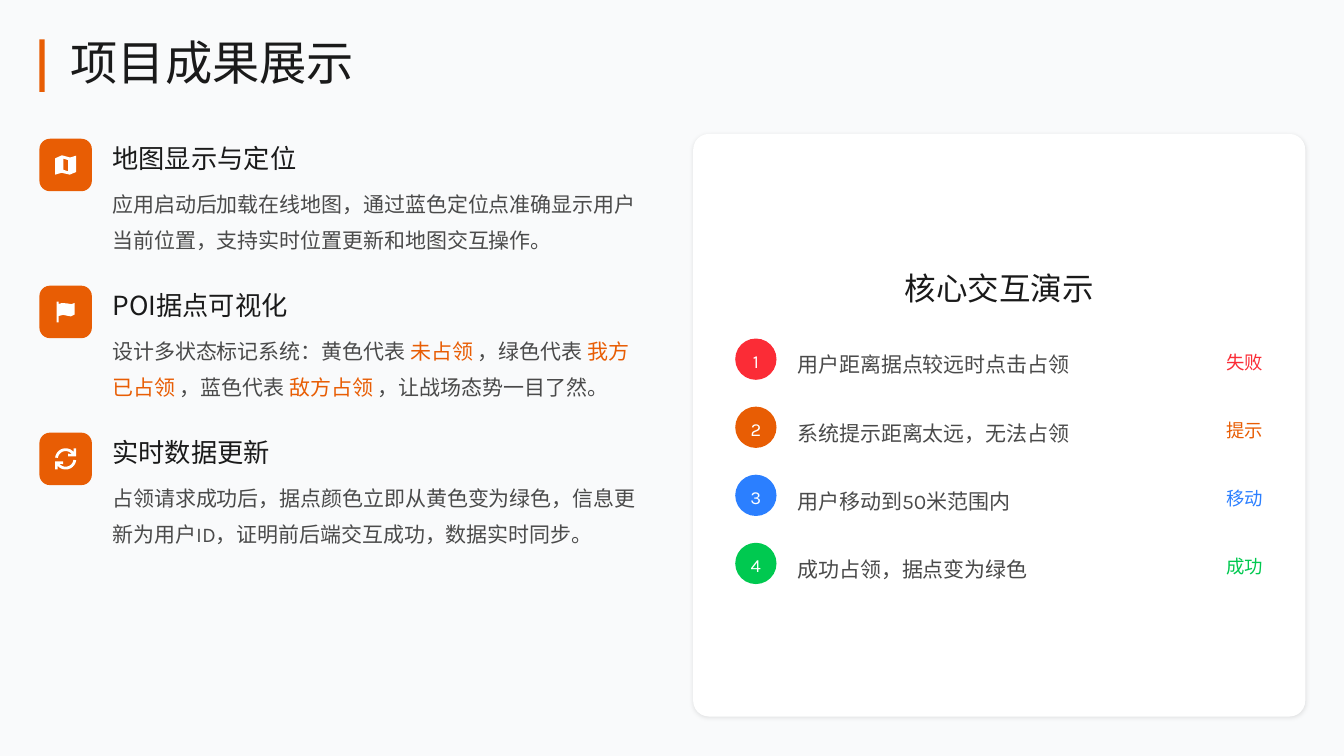
from dataclasses import dataclass
from math import cos, radians, sin

from lxml import etree
from pptx import Presentation
from pptx.dml.color import RGBColor
from pptx.enum.shapes import MSO_SHAPE
from pptx.enum.text import MSO_ANCHOR, MSO_AUTO_SIZE, PP_ALIGN
from pptx.oxml.ns import qn
from pptx.util import Cm, Pt

RECT, ROUNDED, OVAL = MSO_SHAPE.RECTANGLE, MSO_SHAPE.ROUNDED_RECTANGLE, MSO_SHAPE.OVAL
TOP, MIDDLE = MSO_ANCHOR.TOP, MSO_ANCHOR.MIDDLE
LEFT, CENTER = PP_ALIGN.LEFT, PP_ALIGN.CENTER
NO_AUTOFIT = MSO_AUTO_SIZE.NONE
TWO_CONTENT = 3


@dataclass(frozen=True)
class Theme:
    heading_font: str = "Noto Sans CJK SC"
    body_font: str = "Karla"
    page: str = "F9FAFB"
    white: str = "FFFFFF"
    ink: str = "1A1A1A"
    body: str = "4A4A4A"
    accent: str = "E85D04"
    red: str = "FB2C36"
    blue: str = "2B7FFF"
    green: str = "00C950"
    title_size: int = 36
    card_size: int = 24
    heading_size: int = 20
    body_size: int = 16
    label_size: int = 14


THEME = Theme()

# Icon outlines in millimetres from the middle of their tile.
MAP_SHEET = [(2.8, -2.5), (1.2, -2), (-1, -2.6), (-2.8, -1.8),
             (-2.8, 2.6), (-1.1, 2.1), (1.1, 2.6), (2.8, 1.9)]
MAP_FOLD = [(-0.6, -1.7), (0.7, -1.3), (0.7, 1.7), (-0.6, 1.3)]
FLAG = [(-2.4, -2.8), (-1.9, -2.8), (-1.9, -2.1), (-1, -2.4), (0.3, -2.3), (1.5, -2.1),
        (2.4, -2.4), (2.4, 0.7), (1.4, 1.2), (0.3, 1), (-0.7, 0.8), (-1.9, 1.1),
        (-1.9, 2.8), (-2.4, 2.8)]
ARROW_HEAD = [(2.15, -2.8), (2.85, -2.8), (2.85, -0.7), (0.7, -0.7), (0.7, -1.4)]


def arc(radius, start, end, steps=16):
    angles = [radians(start + (end - start) * i / steps) for i in range(steps + 1)]
    return [(radius * cos(a), radius * sin(a)) for a in angles]


def refresh_outlines():
    """Two arrows around a circle, the second being the first turned by 180 degrees."""
    upper = arc(2.85, 187, 319) + ARROW_HEAD + arc(2.1, 322, 187)
    return [upper, [(-x, -y) for x, y in upper]]


# Each description is a list of (text, is highlighted).
FEATURES = [
    ("地图显示与定位", [MAP_SHEET, MAP_FOLD],
     [("应用启动后加载在线地图，通过蓝色定位点准确显示用户当前位置，支持实时位置更新和地图交互操作。", False)]),
    ("POI据点可视化", [FLAG],
     [("设计多状态标记系统：黄色代表", False), (" 未占领 ", True), ("，绿色代表", False),
      (" 我方已占领 ", True), ("，蓝色代表", False), (" 敌方占领 ", True),
      ("，让战场态势一目了然。", False)]),
    ("实时数据更新", refresh_outlines(),
     [("占领请求成功后，据点颜色立即从黄色变为绿色，信息更新为用户ID，证明前后端交互成功，数据实时同步。", False)]),
]
STEPS = [
    ("用户距离据点较远时点击占领", "失败", THEME.red),
    ("系统提示距离太远，无法占领", "提示", THEME.accent),
    ("用户移动到50米范围内", "移动", THEME.blue),
    ("成功占领，据点变为绿色", "成功", THEME.green),
]


def place(shape, left, top, width, height):
    shape.left, shape.top, shape.width, shape.height = map(Cm, (left, top, width, height))


def paint(shape, color):
    shape.shadow.inherit = False
    shape.fill.solid()
    shape.fill.fore_color.rgb = RGBColor.from_string(color)
    shape.line.fill.background()


def add_block(slide, kind, box, color, corner=None):
    block = slide.shapes.add_shape(kind, *map(Cm, box))
    paint(block, color)
    if corner is not None:
        block.adjustments[0] = corner
    return block


def prepare_frame(shape, anchor=MIDDLE):
    frame = shape.text_frame
    frame.margin_left = frame.margin_top = frame.margin_right = frame.margin_bottom = 0
    frame.word_wrap = True
    frame.auto_size = NO_AUTOFIT
    frame.vertical_anchor = anchor
    return frame


def style_run(run, size, color, font=THEME.body_font):
    run.font.name = font
    run.font.size = Pt(size)
    run.font.color.rgb = RGBColor.from_string(color)
    east_asian = etree.Element(qn("a:ea"), typeface=THEME.heading_font)
    run.font._element.find(qn("a:latin")).addnext(east_asian)


def write_line(shape, text, size, color, font=THEME.body_font, spacing=1.2, align=LEFT):
    paragraph = prepare_frame(shape).paragraphs[0]
    paragraph.text = text
    paragraph.alignment = align
    paragraph.line_spacing = spacing
    style_run(paragraph.runs[0], size, color, font)


def add_label(slide, box, *args, **style):
    write_line(slide.shapes.add_textbox(*map(Cm, box)), *args, **style)


def add_item(frame, index, line_height, gap):
    """Return a bullet-free paragraph; the first one gets no space before."""
    paragraph = frame.add_paragraph() if index else frame.paragraphs[0]
    properties = paragraph._p.get_or_add_pPr()
    properties.set("marL", "0")
    properties.set("indent", "0")
    etree.SubElement(properties, qn("a:buNone"))
    paragraph.line_spacing = Pt(line_height)
    paragraph.space_before = Pt(gap if index else 0)
    return paragraph


def add_icon(slide, center_x, center_y, outlines):
    contours = [[(round(x * 100), round(y * 100)) for x, y in outline] for outline in outlines]
    builder = slide.shapes.build_freeform(*contours[0][0], scale=Cm(0.001))
    for index, contour in enumerate(contours):
        if index:
            builder.move_to(*contour[0])
        builder.add_line_segments(contour[1:], close=True)
    paint(builder.convert_to_shape(Cm(center_x), Cm(center_y)), THEME.white)


def add_features(slide, body):
    place(body, 3.02, 3.68, 14.45, 11.5)
    frame = prepare_frame(body, TOP)
    tile = 1.41
    for index, (heading, outlines, description) in enumerate(FEATURES):
        top = 3.73 + 3.95 * index
        add_block(slide, ROUNDED, (1.06, top, tile, tile), THEME.accent, 0.2)
        add_icon(slide, 1.06 + tile / 2, top + tile / 2, outlines)

        title_line = add_item(frame, 2 * index, 28, 24)
        title_line.text = heading
        style_run(title_line.runs[0], THEME.heading_size, THEME.ink, THEME.heading_font)
        detail = add_item(frame, 2 * index + 1, 27, 6)
        for text, highlighted in description:
            run = detail.add_run()
            run.text = text
            style_run(run, THEME.body_size, THEME.accent if highlighted else THEME.body)


def add_card(slide):
    card = add_block(slide, ROUNDED, (18.63, 3.6, 16.45, 15.66), THEME.white, 0.027)
    effects = card._element.spPr.find(qn("a:effectLst"))
    shadow = etree.SubElement(effects, qn("a:outerShdw"), blurRad=str(Pt(3)), dist=str(Pt(1)),
                              dir="5400000", algn="ctr", rotWithShape="0")
    color = etree.SubElement(shadow, qn("a:srgbClr"), val="000000")
    etree.SubElement(color, qn("a:alpha"), val="10000")
    # The card lies behind the list placeholder.
    card._element.getparent().insert(2, card._element)
    add_label(slide, (19.05, 7.14, 15.6, 1.11), "核心交互演示", THEME.card_size, THEME.ink,
              font=THEME.heading_font, spacing=1.1, align=CENTER)


def add_steps(slide, body):
    place(body, 21.43, 9.29, 10.5, 6.5)
    frame = prepare_frame(body, TOP)
    for index, (text, status, color) in enumerate(STEPS):
        top = 9.1 + 1.83 * index
        badge = add_block(slide, OVAL, (19.76, top, 1.11, 1.11), color)
        write_line(badge, str(index + 1), THEME.label_size, THEME.white, align=CENTER)
        step = add_item(frame, index, 24, 28)
        step.text = text
        style_run(step.runs[0], THEME.body_size, THEME.body)
        add_label(slide, (32.95, top + 0.21, 2.38, 0.71), status, THEME.label_size, color)


def main():
    deck = Presentation()
    deck.slide_width, deck.slide_height = Cm(36.12), Cm(20.32)
    slide = deck.slides.add_slide(deck.slide_layouts[TWO_CONTENT])
    slide.background.fill.solid()
    slide.background.fill.fore_color.rgb = RGBColor.from_string(THEME.page)
    title, feature_list, step_list = slide.placeholders

    add_block(slide, RECT, (1.06, 1.06, 0.14, 1.41), THEME.accent)
    place(title, 1.9, 1.06, 20, 1.41)
    write_line(title, "项目成果展示", THEME.title_size, THEME.ink,
               font=THEME.heading_font, spacing=0.9)
    add_features(slide, feature_list)
    add_card(slide)
    add_steps(slide, step_list)
    deck.save("out.pptx")


if __name__ == "__main__":
    main()
